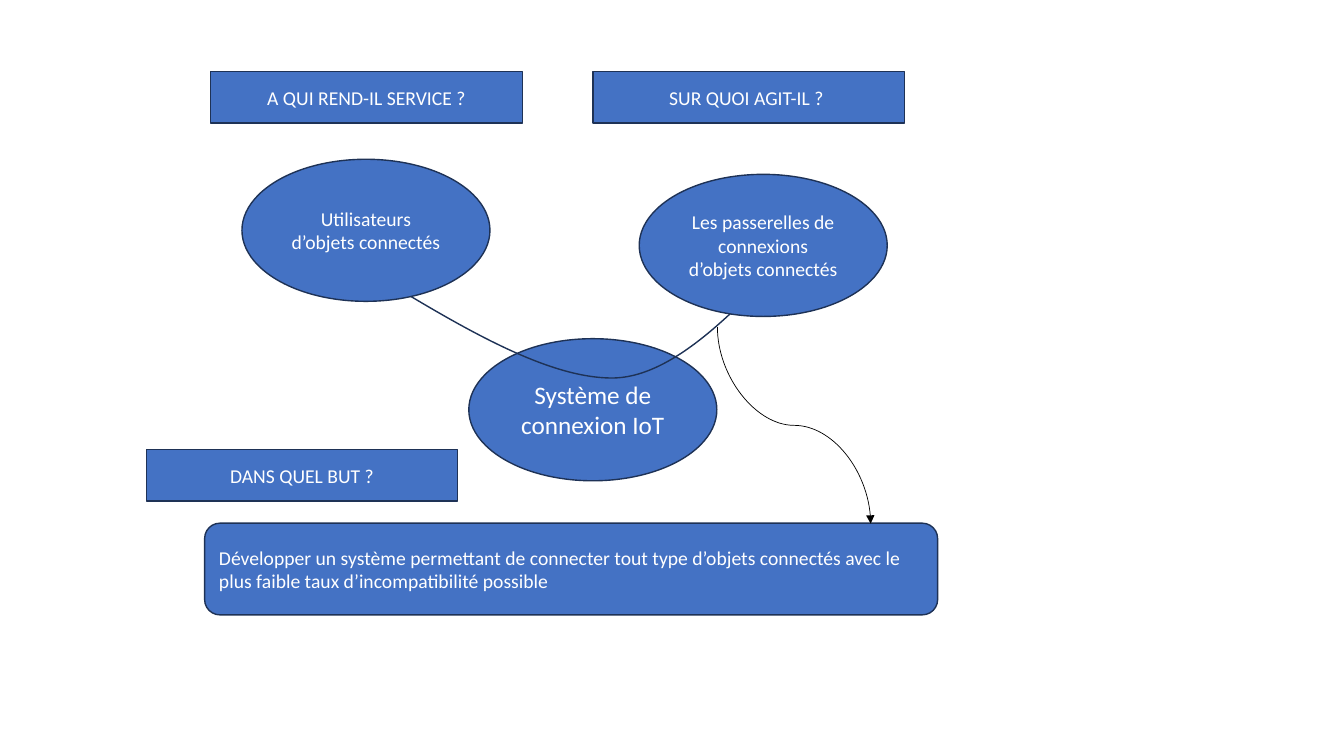
"""Build a slide showing whom a connected-object system serves, what it acts on and why."""
from dataclasses import dataclass

from lxml.etree import SubElement
from pptx import Presentation
from pptx.dml.color import RGBColor
from pptx.enum.shapes import MSO_CONNECTOR as Link, MSO_SHAPE as Kind
from pptx.enum.text import MSO_ANCHOR as Anchor, PP_ALIGN as Align
from pptx.oxml.ns import qn
from pptx.slide import Slide
from pptx.util import Inches, Pt

BLUE = RGBColor(0x44, 0x72, 0xC4)
NAVY = RGBColor(0x1E, 0x32, 0x56)
WHITE = RGBColor(0xFF, 0xFF, 0xFF)
BLACK = RGBColor(0x00, 0x00, 0x00)
FONT = "Calibri"
OVAL = (2.46, 1.41)
LABEL = (3.09, 0.51)
GOAL = (7.27, 0.91)


@dataclass(frozen=True)
class Node:
    """Describe one filled shape and its text."""
    text: str
    left: float
    top: float
    size: tuple[float, float] = OVAL
    kind: Kind = Kind.OVAL
    points: int = 14
    align: Align = Align.CENTER


SYSTEM = Node("Système de connexion IoT", 4.65, 3.36, points=18)
NODES = [
    Node("Utilisateurs d’objets connectés", 2.4, 1.58),
    Node("Les passerelles de connexions d’objets connectés", 6.34, 1.73),
    Node("A QUI REND-IL SERVICE ?", 2.09, 0.71, LABEL, Kind.RECTANGLE),
    Node("SUR QUOI AGIT-IL ? ", 5.88, 0.71, LABEL, Kind.RECTANGLE),
    Node("DANS QUEL BUT ?", 1.45, 4.46, LABEL, Kind.RECTANGLE),
    Node("Développer un système permettant de connecter tout type d’objets connectés "
         "avec le plus faible taux d’incompatibilité possible",
         2.03, 5.19, GOAL, Kind.ROUNDED_RECTANGLE, align=Align.LEFT),
]
CURVE = [(3.61, 2.66), (4.5, 3.2), (5.39, 3.75), (6.07, 3.75),
         (6.76, 3.75), (7.45, 2.86), (7.72, 2.67)]


def draw_node(slide: Slide, node: Node) -> None:
    """Draw a filled shape with its text."""
    box = map(Inches, (node.left, node.top, *node.size))
    shape = slide.shapes.add_shape(node.kind, *box)
    shape.shadow.inherit = False
    shape.fill.solid()
    shape.fill.fore_color.rgb = BLUE
    shape.line.color.rgb = NAVY
    shape.line.width = Pt(1)
    frame = shape.text_frame
    frame.word_wrap = True
    frame.vertical_anchor = Anchor.MIDDLE
    para = frame.paragraphs[0]
    para.alignment = node.align
    run = para.add_run()
    run.text = node.text
    run.font.name = FONT
    run.font.size = Pt(node.points)
    run.font.color.rgb = WHITE


def draw_curve(slide: Slide, points: list[tuple[float, float]]) -> None:
    """Draw a Bézier outline through a start point and triples of control points."""
    spots = [(Inches(x), Inches(y)) for x, y in points]
    pen = slide.shapes.build_freeform(*spots[0])
    pen.add_line_segments(spots[1:], close=False)
    shape = pen.convert_to_shape()
    shape.shadow.inherit = False
    shape.fill.background()
    shape.line.color.rgb = NAVY
    shape.line.width = Pt(1)
    track = next(shape.element.iter(qn("a:path")))
    steps = track.findall(qn("a:lnTo"))
    for start in range(0, len(steps), 3):
        bend = SubElement(track, qn("a:cubicBezTo"))
        for step in steps[start:start + 3]:
            bend.append(step[0])
            track.remove(step)


def draw_arrow(slide: Slide) -> None:
    """Draw the S-shaped arrow down to the goal."""
    ends = map(Inches, (8.85, 3.46, 6.9, 4.98))
    arrow = slide.shapes.add_connector(Link.CURVE, *ends)
    arrow.line.color.rgb = BLACK
    arrow.line.width = Pt(0.5)
    props = arrow.element.spPr
    props.find(qn("a:xfrm")).set("rot", str(270 * 60000))
    SubElement(props.find(qn("a:ln")), qn("a:tailEnd")).set("type", "triangle")
    SubElement(props, qn("a:effectLst"))


def main() -> None:
    """Build and save the slide."""
    deck = Presentation()
    deck.slide_width = Inches(13.33)
    deck.slide_height = Inches(7.5)
    slide = deck.slides.add_slide(deck.slide_layouts[6])
    draw_node(slide, SYSTEM)
    draw_curve(slide, CURVE)
    for node in NODES:
        draw_node(slide, node)
    draw_arrow(slide)
    deck.save("out.pptx")


if __name__ == "__main__":
    main()
